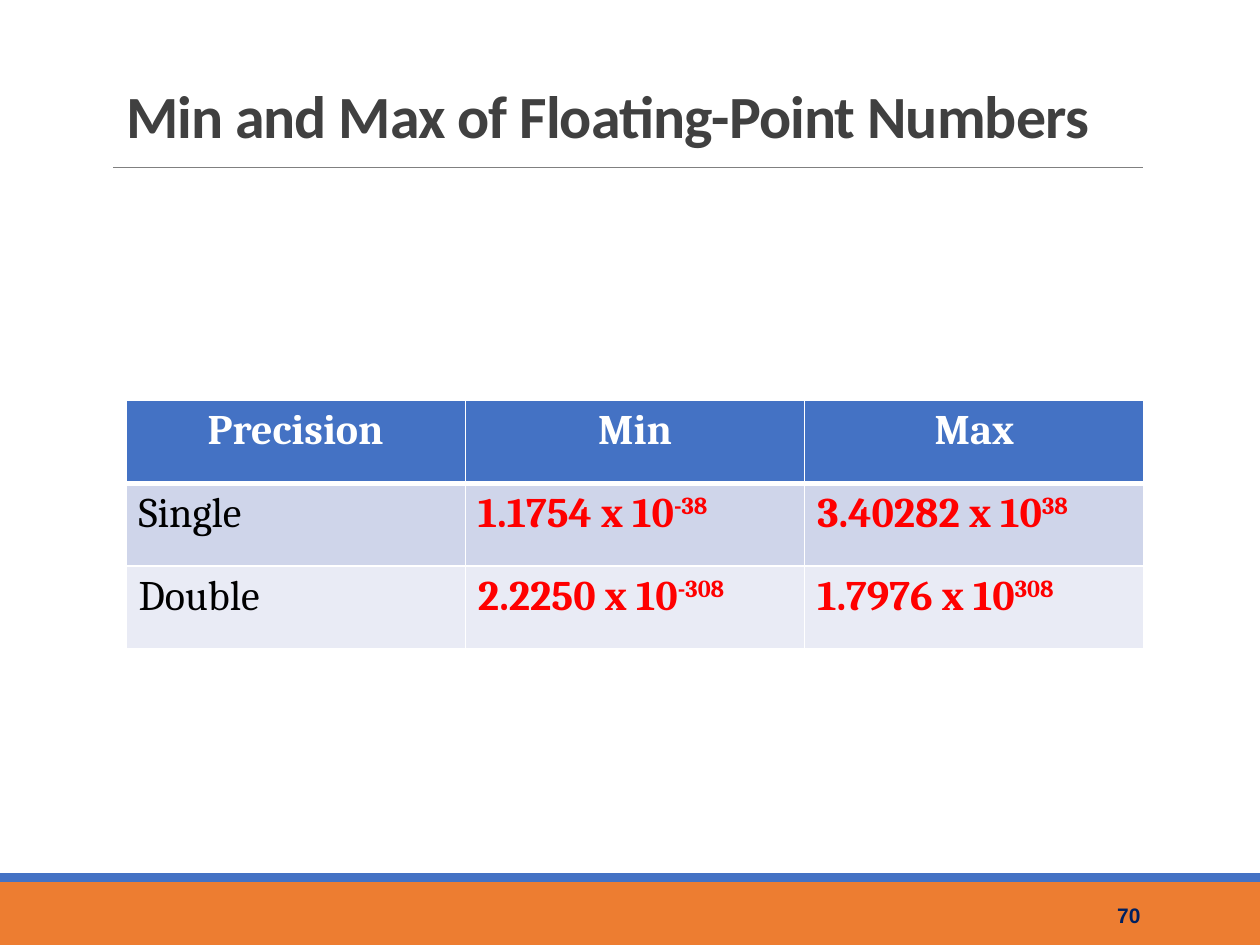
from dataclasses import dataclass

from lxml import etree
from pptx import Presentation
from pptx.dml.color import RGBColor
from pptx.enum import shapes, text
from pptx.oxml import ns
from pptx.util import Inches, Pt


@dataclass(frozen=True)
class Theme:
    orange: str = "ED7D31"
    blue: str = "4472C4"
    rule: str = "808080"
    title: str = "404040"
    white: str = "FFFFFF"
    black: str = "000000"
    red: str = "FF0000"
    navy: str = "002060"
    bands: tuple = ("CFD5EA", "E9EBF5")
    title_size: float = 34.2
    table_size: float = 24
    number_size: float = 12


THEME = Theme()
HEADINGS = ("Precision", "Min", "Max")
LIMITS = (
    ("Single", ("1.1754 x 10", "-38"), ("3.40282 x 10", "38")),
    ("Double", ("2.2250 x 10", "-308"), ("1.7976 x 10", "308")),
)


def add_run(paragraph, words, font_name, size, color, bold=True):
    run = paragraph.add_run()
    run.text = words
    run.font.name = font_name
    run.font.size = Pt(size)
    run.font.bold = bold
    run.font.color.rgb = RGBColor.from_string(color)
    return run


def add_bar(slide, top, height, color):
    bar = slide.shapes.add_shape(
        shapes.MSO_SHAPE.RECTANGLE, 0, Inches(top), Inches(10), Inches(height))
    bar.shadow.inherit = False
    bar.fill.solid()
    bar.fill.fore_color.rgb = RGBColor.from_string(color)
    bar.line.fill.background()


def add_rule(slide, left, right, y):
    rule = slide.shapes.add_connector(
        shapes.MSO_CONNECTOR.STRAIGHT, Inches(left), Inches(y), Inches(right), Inches(y))
    rule.line.color.rgb = RGBColor.from_string(THEME.rule)
    rule.line.width = Pt(0.5)
    etree.SubElement(rule._element.spPr, ns.qn("a:effectLst"))


def set_title(slide, words):
    title = slide.shapes.title
    title.left, title.top = Inches(0.9), Inches(0.31)
    title.width, title.height = Inches(8.68), Inches(0.94)
    frame = title.text_frame
    frame.auto_size = text.MSO_AUTO_SIZE.NONE
    frame.vertical_anchor = text.MSO_ANCHOR.BOTTOM
    paragraph = frame.paragraphs[0]
    paragraph.alignment = text.PP_ALIGN.LEFT
    paragraph.line_spacing = 0.85
    run = add_run(paragraph, words, "Calibri", THEME.title_size, THEME.title)
    run.font._element.set("spc", "-50")


def style_cell(cell, fill, top=1, bottom=1):
    """Set the fill and the white borders, with widths in points."""
    properties = cell._tc.get_or_add_tcPr()
    for side, width in (("L", 1), ("R", 1), ("T", top), ("B", bottom)):
        border = etree.SubElement(properties, ns.qn(f"a:ln{side}"), w=str(Pt(width)))
        solid = etree.SubElement(border, ns.qn("a:solidFill"))
        etree.SubElement(solid, ns.qn("a:srgbClr"), val=THEME.white)
    cell.fill.solid()
    cell.fill.fore_color.rgb = RGBColor.from_string(fill)


def write_cell(cell, words, color, bold=True):
    paragraph = cell.text_frame.paragraphs[0]
    add_run(paragraph, words, "Cambria", THEME.table_size, color, bold)
    return paragraph


def write_power(cell, base, exponent):
    paragraph = write_cell(cell, base, THEME.red)
    raised = add_run(paragraph, exponent, "Cambria", THEME.table_size, THEME.red)
    raised.font._element.set("baseline", "30000")


def add_limits_table(slide):
    table = slide.shapes.add_table(
        len(LIMITS) + 1, len(HEADINGS),
        Inches(1), Inches(3.18), Inches(8.08), Inches(1.97)).table
    for column, heading in enumerate(HEADINGS):
        cell = table.cell(0, column)
        style_cell(cell, THEME.blue, bottom=3)
        write_cell(cell, heading, THEME.white).alignment = text.PP_ALIGN.CENTER
    for row, (precision, *powers) in enumerate(LIMITS, start=1):
        for column in range(len(HEADINGS)):
            style_cell(table.cell(row, column), THEME.bands[row - 1],
                       top=3 if row == 1 else 1)
        write_cell(table.cell(row, 0), precision, THEME.black, bold=False)
        for column, power in enumerate(powers, start=1):
            write_power(table.cell(row, column), *power)


def add_page_number(slide, number):
    frame = slide.shapes.add_textbox(
        Inches(8.38), Inches(7.06), Inches(0.77), Inches(0.4)).text_frame
    frame.word_wrap = True
    frame.vertical_anchor = text.MSO_ANCHOR.MIDDLE
    paragraph = frame.paragraphs[0]
    paragraph.alignment = text.PP_ALIGN.RIGHT
    add_run(paragraph, number, "Arial", THEME.number_size, THEME.navy)


def main():
    deck = Presentation()
    deck.slide_width, deck.slide_height = Inches(10), Inches(7.5)
    slide = deck.slides.add_slide(deck.slide_layouts[5])
    add_bar(slide, 7, 0.5, THEME.orange)
    add_bar(slide, 6.93, 0.07, THEME.blue)
    add_rule(slide, 0.9, 9.07, 1.33)
    set_title(slide, "Min and Max of Floating-Point Numbers")
    add_limits_table(slide)
    add_page_number(slide, "70")
    deck.save("out.pptx")


if __name__ == "__main__":
    main()
